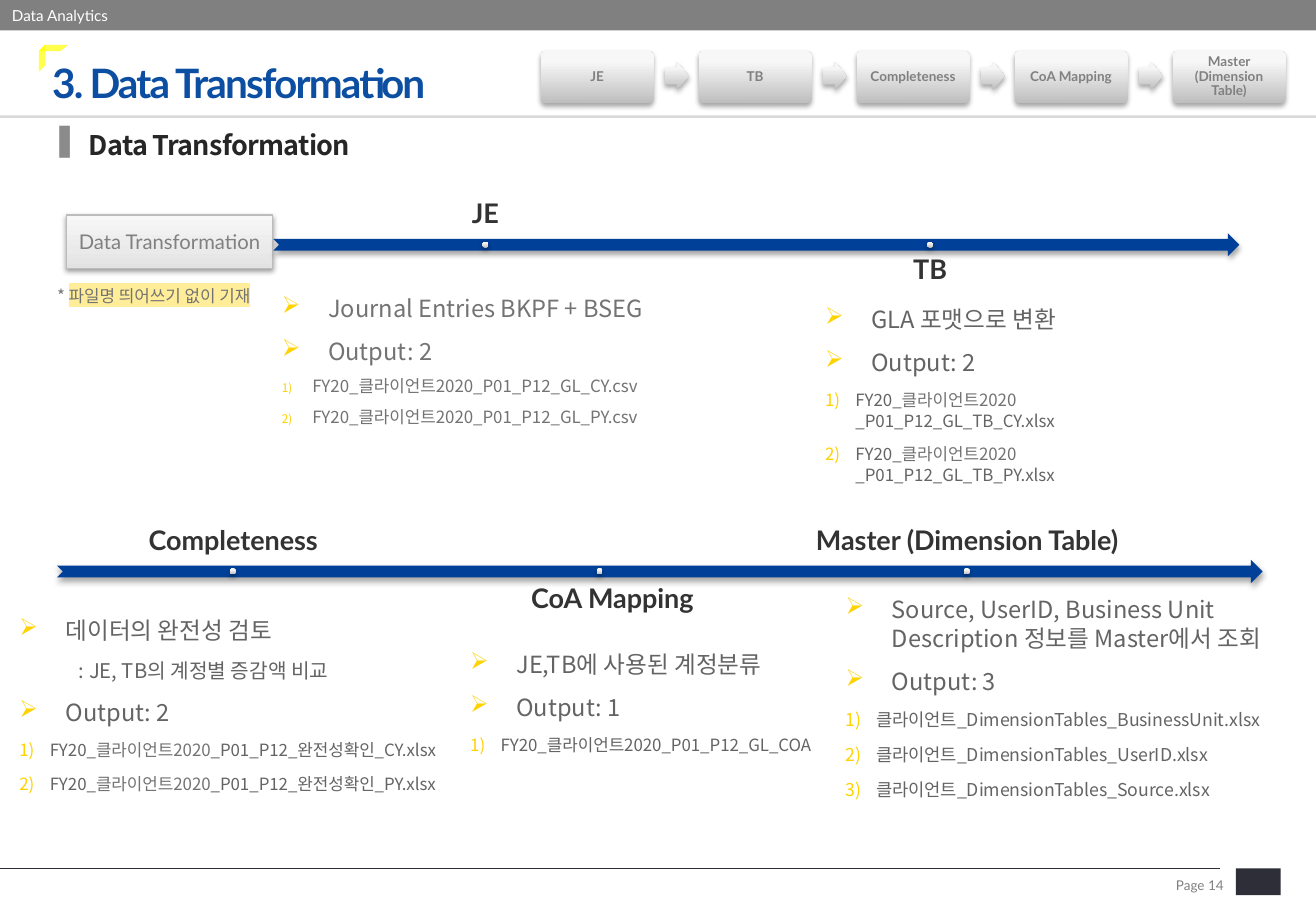
"""Build the Data Transformation slide with two timelines."""
from lxml.etree import SubElement
from pptx import Presentation
from pptx.dml.color import RGBColor
from pptx.enum.shapes import MSO_CONNECTOR, MSO_SHAPE
from pptx.enum.text import MSO_ANCHOR, PP_ALIGN
from pptx.oxml import parse_xml
from pptx.oxml.ns import nsdecls, qn
from pptx.util import Inches, Pt

KOREAN = "Noto Sans CJK KR"
SILVER = [(0, "BEBEBE"), (80, "F7F7F7"), (100, "F8F8F8")]
PALE = [(0, "E2E2E2"), (35, "EAEAEA"), (100, "F7F7F7")]
BULLETS = {
    "arrow": (0.38, "FFD200", '<a:buChar {} char="➢"/>'),
    "number": (0.25, "FFD200", '<a:buAutoNum {} type="arabicParenR"/>'),
    "bar": (0.24, "8B8B8B", '<a:buChar {} char="▌"/>'),
}

deck = Presentation()
deck.slide_width, deck.slide_height = Inches(10.83), Inches(7.5)
page = deck.slides.add_slide(deck.slide_layouts[6])


def add_block(preset, place, fill, shadow=None):
    """Add a preset shape with a plain or three-stop fill and an optional soft shadow."""
    block = page.shapes.add_shape(preset, *map(Inches, place))
    block.line.fill.background()
    block.shadow.inherit = False
    properties = block.fill._xPr
    if isinstance(fill, str):
        block.fill.solid()
        block.fill.fore_color.rgb = RGBColor.from_string(fill)
    else:
        stops = "".join(f'<a:gs pos="{stop * 1000}"><a:srgbClr val="{colour}"/></a:gs>' for stop, colour in fill)
        block.fill.background()
        gradient = parse_xml(f'<a:gradFill {nsdecls("a")} rotWithShape="1"><a:gsLst>{stops}</a:gsLst>'
                             '<a:lin ang="16200000" scaled="0"/></a:gradFill>')
        properties.replace(properties.find(qn("a:noFill")), gradient)
    if shadow:
        alpha, distance = shadow
        properties.find(qn("a:effectLst")).append(parse_xml(
            f'<a:outerShdw {nsdecls("a")} blurRad="{Pt(3.1)}" dist="{Pt(distance)}" dir="5400000" rotWithShape="0">'
            f'<a:srgbClr val="000000"><a:alpha val="{alpha * 1000}"/></a:srgbClr></a:outerShdw>'))
    return block


def write(box, rows, colour, font="Lato", inset=(0, 0), anchor=MSO_ANCHOR.TOP, align=PP_ALIGN.LEFT,
          bold=False, tracking=0, spacing=1.0, bullet_scale=100, accent="737373", mark=None):
    """Write rows of (kind, size, text); every second piece between bars takes the accent colour."""
    frame = box.text_frame
    side, top = map(Inches, inset)
    settings = {"word_wrap": True, "vertical_anchor": anchor, "margin_left": side,
                "margin_right": side, "margin_top": top, "margin_bottom": top}
    for name, value in settings.items():
        setattr(frame, name, value)
    for row, (kind, size, text) in enumerate(rows):
        para = frame.add_paragraph() if row else frame.paragraphs[0]
        layout = {"alignment": align, "space_before": Pt(size * 0.2 if row else 0), "space_after": Pt(6),
                  "line_spacing": 1.0 if kind == "arrow" else spacing}
        for name, value in layout.items():
            setattr(para, name, value)
        properties = para._p.get_or_add_pPr()
        if kind in BULLETS:
            indent, bullet_colour, bullet = BULLETS[kind]
            properties.set("marL", str(Inches(indent)))
            properties.set("indent", str(-Inches(indent)))
            holder = SubElement(properties, qn("a:buClr"))
            SubElement(holder, qn("a:srgbClr"), val=bullet_colour)
            if kind == "number":
                SubElement(properties, qn("a:buSzPct"), val=str(bullet_scale * 1000))
            properties.append(parse_xml(bullet.format(nsdecls("a"))))
        elif kind == "detail":
            properties.set("marL", str(Inches(0.49)))
        for index, piece in enumerate(text.split("|")):
            span = para.add_run()
            span.text = piece
            for name, value in {"size": Pt(size), "bold": bold, "name": font}.items():
                setattr(span.font, name, value)
            span.font.color.rgb = RGBColor.from_string(accent if index % 2 else colour)
            run = span._r.get_or_add_rPr()
            if tracking:
                run.set("spc", str(int(tracking * 100)))
            if font == KOREAN:
                run.find(qn("a:latin")).addnext(parse_xml(f'<a:ea {nsdecls("a")} typeface="{font}"/>'))
            if mark and index % 2:
                run.find(qn("a:solidFill")).addnext(parse_xml(
                    f'<a:highlight {nsdecls("a")}><a:srgbClr val="{mark}"/></a:highlight>'))


footer_rule = page.shapes.add_connector(MSO_CONNECTOR.STRAIGHT, Inches(0), Inches(7.15), Inches(10.04), Inches(7.15))
footer_rule.line.color.rgb = RGBColor.from_string("2E2E38")
footer_rule.line.width = Pt(0.75)
SubElement(footer_rule._element.spPr, qn("a:effectLst"))
add_block(MSO_SHAPE.RECTANGLE, (10.17, 7.15, 0.37, 0.22), "2E2E38")

corner_arms = [
    [(0.37, 0.37), (0.56, 0.37), (0.5, 0.42), (0.32, 0.42)],
    [(0.37, 0.37), (0.37, 0.54), (0.32, 0.59), (0.32, 0.42)],
]
for start, *others in corner_arms:
    outline = page.shapes.build_freeform(*map(Inches, start))
    outline.add_line_segments([(Inches(x), Inches(y)) for x, y in others])
    arm = outline.convert_to_shape()
    arm.shadow.inherit = False
    arm.line.fill.background()
    arm.fill.solid()
    arm.fill.fore_color.rgb = RGBColor.from_string("FFFF00")
    SubElement(arm._element.spPr.find(qn("a:solidFill"))[0], qn("a:alpha"), val="70000")

add_block(MSO_SHAPE.RECTANGLE, (0, 0.95, 10.83, 0.02), "D9D9D9")
banner = add_block(MSO_SHAPE.RECTANGLE, (0, 0, 10.83, 0.25), "808080")
write(banner, [("plain", 9, "Data Analytics")], "FFFFFF", inset=(0.1, 0.05))

start_box = add_block(MSO_SHAPE.RECTANGLE, (0.55, 1.77, 1.69, 0.44), PALE, (38, 1.6))
start_box.line.color.rgb = RGBColor.from_string("BCBCBC")
start_box.line.width = Pt(0.75)
write(start_box, [("plain", 12, "Data Transformation")], "808080", inset=(0.05, 0.05),
      anchor=MSO_ANCHOR.MIDDLE, align=PP_ALIGN.CENTER)

for place in [(2.25, 1.92, 7.95, 0.19), (0.47, 4.61, 9.92, 0.19)]:
    add_block(MSO_SHAPE.NOTCHED_RIGHT_ARROW, place, "004098", (35, 1.8))
for left, top in [(3.97, 1.99), (7.63, 1.99), (1.89, 4.68), (4.91, 4.68), (7.93, 4.68)]:
    add_block(MSO_SHAPE.OVAL, (left, top, 0.05, 0.05), SILVER, (35, 1.8))

steps = ["JE", "TB", "Completeness", "CoA Mapping", "Master (Dimension Table)"]
for index, step in enumerate(steps):
    left = 4.45 + 1.3 * index
    button = add_block(MSO_SHAPE.ROUNDED_RECTANGLE, (left, 0.42, 0.93, 0.43), SILVER, (35, 1.8))
    button.adjustments[0] = 0.1
    write(button, [("plain", 8, step)], "808080", inset=(0.03, 0.03), bold=True, spacing=0.9,
          anchor=MSO_ANCHOR.MIDDLE, align=PP_ALIGN.CENTER)
    if index < len(steps) - 1:
        arrow = add_block(MSO_SHAPE.RIGHT_ARROW, (left + 1.02, 0.51, 0.2, 0.23), SILVER, (35, 1.8))
        arrow.adjustments[0] = 0.6

milestone = {"colour": "333333", "bold": True, "spacing": 0.9, "inset": (0.12, 0.12), "align": PP_ALIGN.CENTER}
above = {**milestone, "anchor": MSO_ANCHOR.BOTTOM}
listing = {"colour": "646464", "font": KOREAN}
texts = [
    ((0.43, 0.37, 8.83, 0.62), [("plain", 24, "3. Data Transformation")],
     {"colour": "0C4EA2", "bold": True, "tracking": -1.1, "anchor": MSO_ANCHOR.MIDDLE}),
    ((0.49, 1.06, 9.75, 0.29), [("bar", 16, "Data Transformation")],
     {"colour": "262626", "font": KOREAN, "bold": True, "tracking": -0.4}),
    ((9.44, 7.19, 0.73, 0.2), [("plain", 8, "Page 14")],
     {"colour": "808080", "inset": (0.1, 0.05), "anchor": MSO_ANCHOR.MIDDLE, "align": PP_ALIGN.RIGHT}),
    ((2.25, 1.77, 3.49, 0.19), [("plain", 16, "JE")], above),
    ((5.91, 2.04, 3.49, 0.19), [("plain", 16, "TB")], milestone),
    ((0.48, 4.46, 2.88, 0.19), [("plain", 16, "Completeness")], above),
    ((3.6, 4.75, 2.88, 0.19), [("plain", 16, "CoA Mapping")], milestone),
    ((6.52, 4.46, 2.88, 0.19), [("plain", 16, "Master (Dimension Table)")], above),
    ((0.47, 2.35, 1.84, 0.32), [("plain", 10, "* |파일명 띄어쓰기 없이 기재")],
     {"colour": "737373", "font": KOREAN, "mark": "FFED99"}),
    ((2.32, 2.42, 3.44, 1.33), [
        ("arrow", 14, "Journal Entries BKPF + BSEG"), ("arrow", 14, "Output: 2"),
        ("number", 10, "FY20_클라이언트2020_P01_P12_GL_CY.csv"),
        ("number", 10, "FY20_클라이언트2020_P01_P12_GL_PY.csv")],
     {**listing, "colour": "737373", "spacing": 0.85, "bullet_scale": 70}),
    ((6.79, 2.51, 3.23, 1.33), [
        ("arrow", 14, "GLA 포맷으로 변환"), ("arrow", 14, "Output: 2"),
        ("number", 10, "FY20_|클라이언트2020 |_P01_P12_GL_TB_CY.xlsx"),
        ("number", 10, "FY20_|클라이언트2020 |_P01_P12_GL_TB_PY.xlsx")], listing),
    ((0.16, 5.07, 3.54, 0.9), [
        ("arrow", 14, "데이터의 완전성 검토"), ("detail", 12, ": JE, TB의 계정별 증감액 비교"),
        ("arrow", 14, "Output: 2"),
        ("number", 10, "FY20_|클라이언트2020|_P01_P12_완전성확인_CY.xlsx"),
        ("number", 10, "FY20_|클라이언트2020|_P01_P12_완전성확인_PY.xlsx")], listing),
    ((3.87, 5.35, 3.54, 0.82), [
        ("arrow", 14, "JE,TB에 사용된 계정분류"), ("arrow", 14, "Output: 1"),
        ("number", 10, "FY20_클라이언트2020_P01_P12_GL_COA")], listing),
    ((6.96, 4.9, 3.71, 2.19), [
        ("arrow", 14, "Source, UserID, Business Unit Description 정보를 Master에서 조회"),
        ("arrow", 14, "Output: 3"),
        ("number", 10.5, "클라이언트_DimensionTables_BusinessUnit.xlsx"),
        ("number", 10.5, "클라이언트_DimensionTables_UserID.xlsx"),
        ("number", 10.5, "클라이언트_DimensionTables_Source.xlsx")], listing),
]
for place, rows, style in texts:
    write(page.shapes.add_textbox(*map(Inches, place)), rows, **style)

deck.save("out.pptx")
